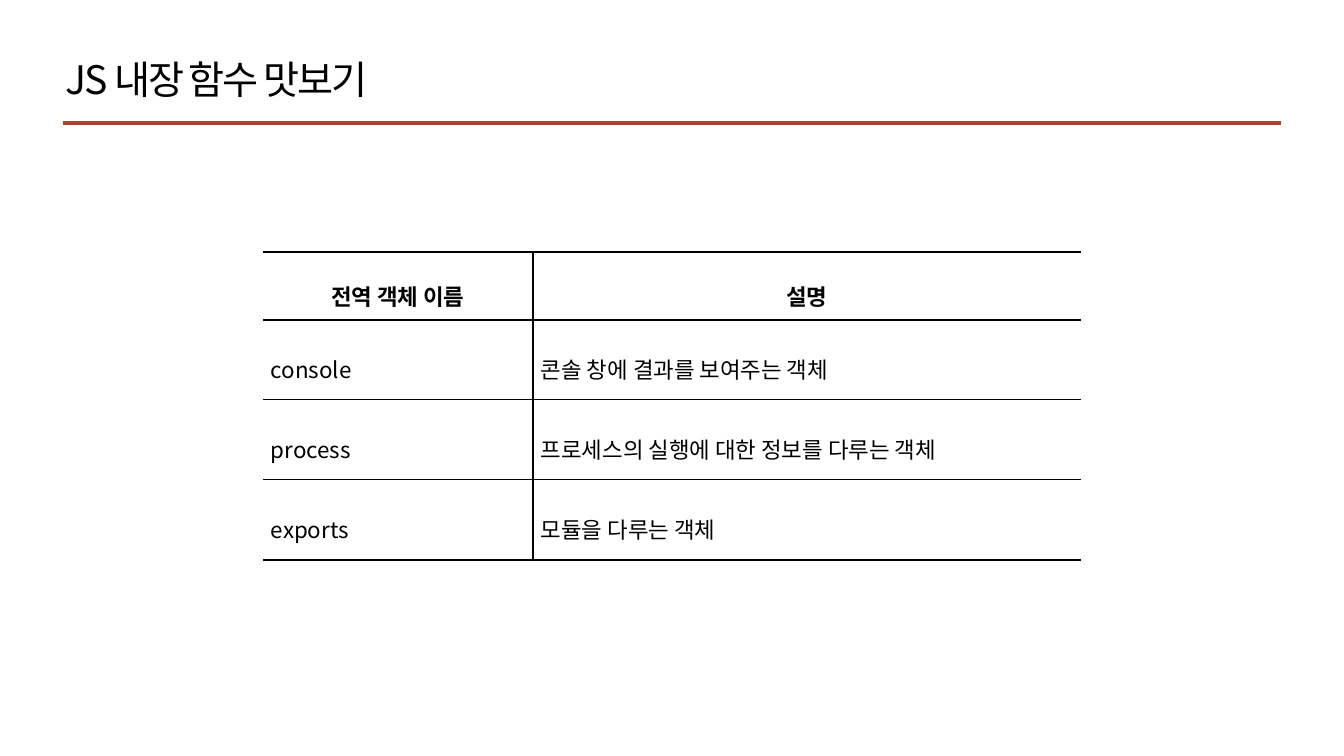
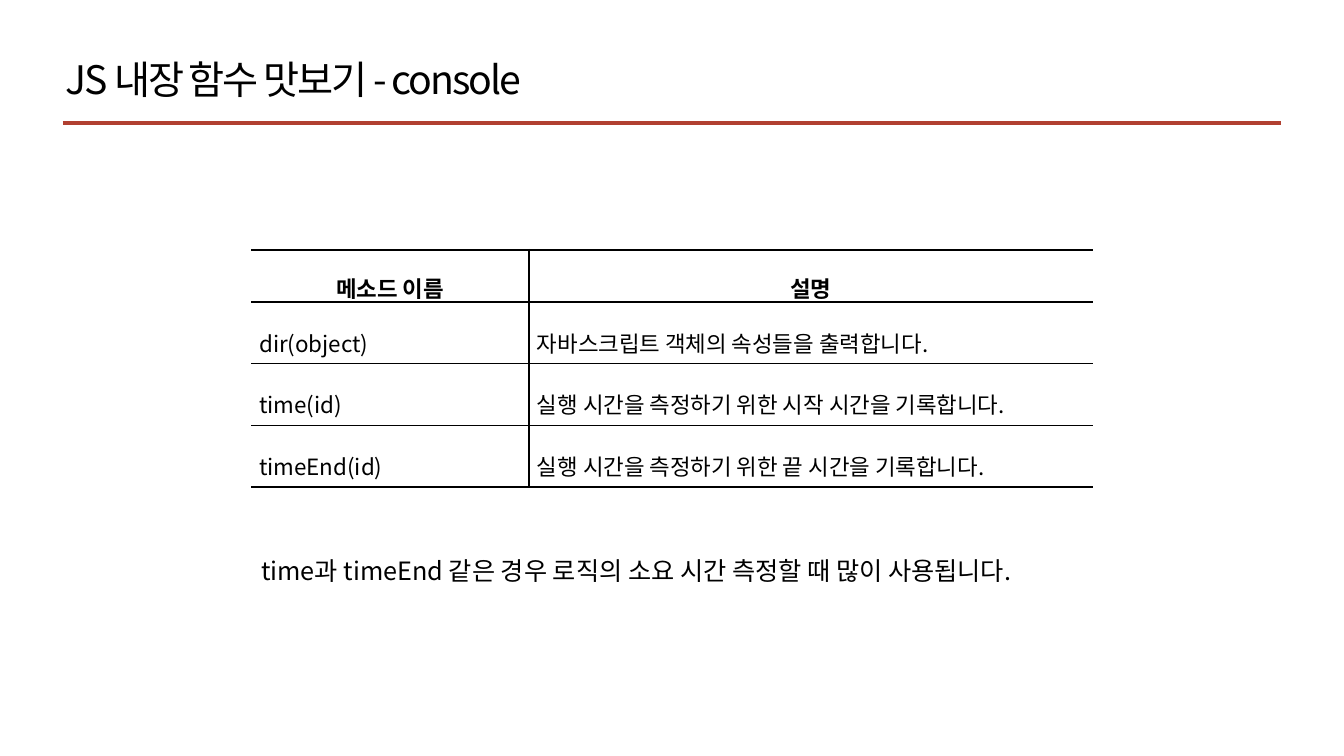
import pptx
import pptx.dml.color
import pptx.enum.shapes
import pptx.enum.text
import pptx.oxml.ns
import pptx.util
from lxml import etree

COLUMNS, ROWS = 64, 36
ALIGN = pptx.enum.text.PP_ALIGN
THICK, THIN = 1.7, 0.56


def colour(value):
    return pptx.dml.color.RGBColor.from_string(value)


def add_element(parent, tag, **attributes):
    return etree.SubElement(parent, pptx.oxml.ns.qn(tag), attributes)


def apply(target, formats):
    for name, value in formats.items():
        setattr(target, name, value)


class Deck:
    font = "Noto Sans CJK KR"
    ink = "000000"
    accent = "B14031"
    first_column_share = 0.33

    def __init__(self):
        self.deck = pptx.Presentation()
        self.deck.slide_width = pptx.util.Inches(13.33)
        self.deck.slide_height = pptx.util.Inches(7.5)
        self.page = None

    def across(self, columns):
        return round(self.deck.slide_width * columns / COLUMNS)

    def down(self, rows):
        return round(self.deck.slide_height * rows / ROWS)

    def new_page(self, title):
        self.page = self.deck.slides.add_slide(self.deck.slide_layouts[6])
        self.text(title, 2.64, 2.4, 47, 2.74, 28, spacing=-1.5)
        self.rule(3, 61, 5.86)

    def fill_text(self, frame, text, size, bold=False, spacing=0, **paragraph):
        para = frame.paragraphs[0]
        apply(para, paragraph)
        span = para.add_run()
        span.text = text
        apply(span.font, {"name": self.font, "size": pptx.util.Pt(size), "bold": bold})
        span.font.color.rgb = colour(self.ink)
        properties = span.font._element
        add_element(properties, "a:ea", typeface=self.font)
        if spacing:
            properties.set("spc", str(round(spacing * 100)))

    def text(self, text, left, top, width, height, size, spacing=0):
        box = self.page.shapes.add_textbox(
            self.across(left), self.down(top), self.across(width), self.down(height))
        box.text_frame.word_wrap = True
        self.fill_text(box.text_frame, text, size, spacing=spacing)

    def rule(self, start, end, row):
        line = self.page.shapes.add_connector(
            pptx.enum.shapes.MSO_CONNECTOR.STRAIGHT,
            self.across(start), self.down(row), self.across(end), self.down(row))
        line.line.color.rgb = colour(self.accent)
        line.line.width = pptx.util.Pt(3)
        add_element(line._element.spPr, "a:effectLst")

    def borders(self, cell, widths):
        properties = cell._tc.get_or_add_tcPr()
        for side, width in zip("LRTB", widths):
            edge = add_element(properties, f"a:ln{side}", w=str(pptx.util.Pt(width)))
            if width:
                fill = add_element(edge, "a:solidFill")
                add_element(fill, "a:srgbClr", val=self.ink)
            else:
                add_element(edge, "a:noFill")

    def cell(self, cell, text, header):
        side, edge = (0.07, 0.02) if header else (0.08, 0.05)
        side, edge = pptx.util.Inches(side), pptx.util.Inches(edge)
        apply(cell, {
            "margin_left": side, "margin_right": side,
            "margin_top": edge, "margin_bottom": edge,
            "vertical_anchor": pptx.enum.text.MSO_ANCHOR.MIDDLE})
        self.fill_text(cell.text_frame, text, 16, bold=header, line_spacing=1.6,
                       alignment=ALIGN.CENTER if header else ALIGN.JUSTIFY)

    def table(self, records, top, width, heights):
        left = (COLUMNS - width) / 2
        shape = self.page.shapes.add_table(
            len(records), 2, self.across(left), self.down(top),
            self.across(width), self.down(sum(heights)))
        grid = shape.table
        apply(grid, {"first_row": False, "horz_banding": False})
        shares = (self.first_column_share, 1 - self.first_column_share)
        for column, share in zip(grid.columns, shares):
            column.width = self.across(width * share)
        rules = [THICK, THICK] + [THIN] * (len(records) - 2) + [THICK]
        for r, (record, height) in enumerate(zip(records, heights)):
            grid.rows[r].height = self.down(height)
            for c, text in enumerate(record):
                cell = grid.cell(r, c)
                self.cell(cell, text, header=r == 0)
                divider = (0, THICK) if c == 0 else (THICK, 0)
                self.borders(cell, (*divider, rules[r], rules[r + 1]))
                cell.fill.background()
        return left


def main():
    deck = Deck()

    deck.new_page("JS 내장 함수 맛보기")
    deck.table([
        ("전역 객체 이름", "설명"),
        ("console", "콘솔 창에 결과를 보여주는 객체"),
        ("process", "프로세스의 실행에 대한 정보를 다루는 객체"),
        ("exports", "모듈을 다루는 객체"),
    ], 12, 38.97, [3.24, 3.77, 3.82, 3.82])

    deck.new_page("JS 내장 함수 맛보기 - console")
    left = deck.table([
        ("메소드 이름", "설명"),
        ("dir(object)", "자바스크립트 객체의 속성들을 출력합니다."),
        ("time(id)", "실행 시간을 측정하기 위한 시작 시간을 기록합니다."),
        ("timeEnd(id)", "실행 시간을 측정하기 위한 끝 시간을 기록합니다."),
    ], 11.9, 40.08, [2.5, 2.9, 2.94, 2.94])
    deck.text("time과 timeEnd 같은 경우 로직의 소요 시간 측정할 때 많이 사용됩니다.",
              left, 26.21, 40.08, 1.92, 18)

    deck.deck.save("out.pptx")


if __name__ == "__main__":
    main()
